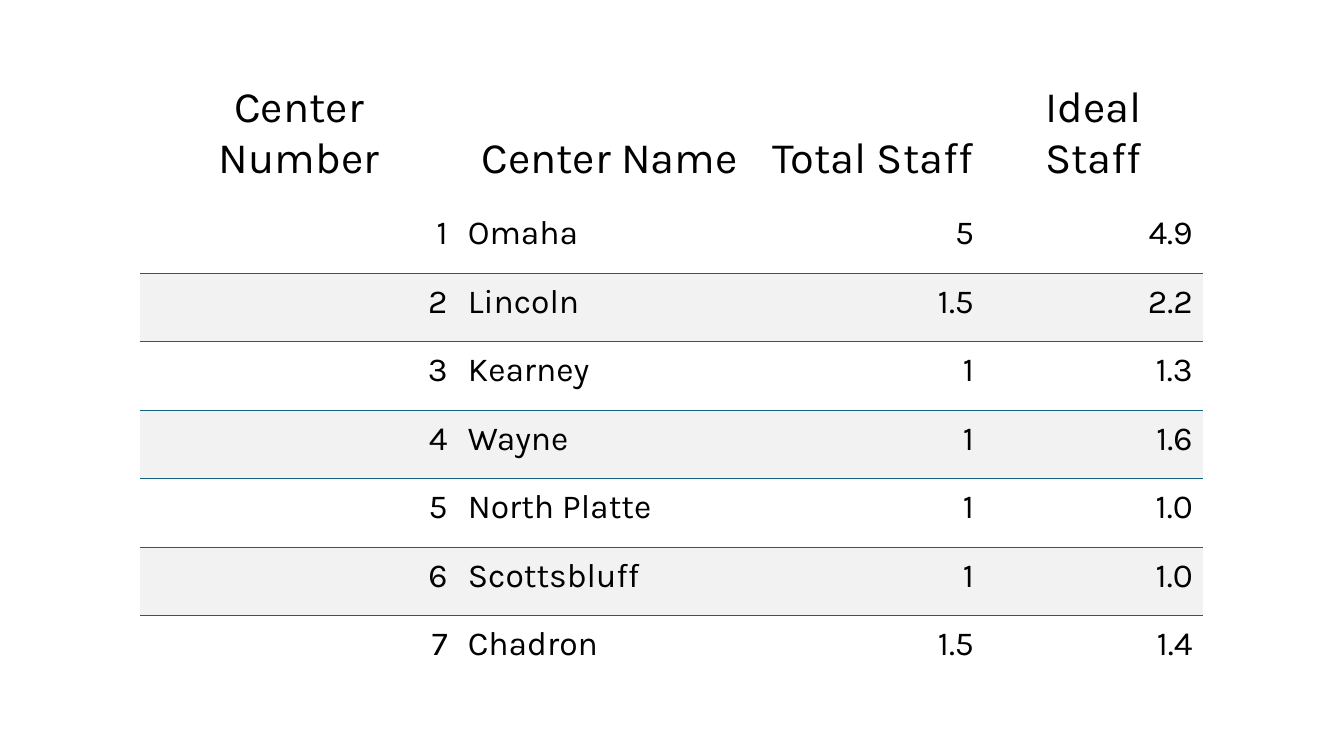
from dataclasses import dataclass

from lxml import etree
from pptx import Presentation
from pptx.dml.color import RGBColor
from pptx.enum.text import MSO_ANCHOR, PP_ALIGN
from pptx.oxml.ns import qn
from pptx.util import Inches, Pt

LEFT, CENTER, RIGHT = PP_ALIGN.LEFT, PP_ALIGN.CENTER, PP_ALIGN.RIGHT
BOTTOM = MSO_ANCHOR.BOTTOM
PLAIN_STYLE = "{2D5ABB26-0587-4C30-8999-92F81FD0307C}"


@dataclass(frozen=True)
class Theme:
    font: str = "Karla"
    text: str = "000000"
    band: str = "F2F2F2"
    rule: str = "156082"
    header_size: int = 31
    body_size: int = 24


THEME = Theme()

HEADERS = ["Center Number", "Center Name", "Total Staff", "Ideal Staff"]
CENTERS = [
    ["1", "Omaha", "5", "4.9"],
    ["2", "Lincoln", "1.5", "2.2"],
    ["3", "Kearney", "1", "1.3"],
    ["4", "Wayne", "1", "1.6"],
    ["5", "North Platte", "1", "1.0"],
    ["6", "Scottsbluff", "1", "1.0"],
    ["7", "Chadron", "1.5", "1.4"],
]
COL_WIDTHS = [3.15, 3.01, 2.21, 2.17]
BODY_ALIGN = [RIGHT, LEFT, RIGHT, RIGHT]
HEADER_HEIGHT, ROW_HEIGHT = 1.33, 0.68


def write_cell(cell, text, size, align):
    cell.margin_left = cell.margin_right = Inches(0.1)
    cell.margin_top, cell.margin_bottom = Inches(0.01), Inches(0.2)
    cell.vertical_anchor = BOTTOM
    p = cell.text_frame.paragraphs[0]
    p.alignment = align
    r = p.add_run()
    r.text = text
    r.font.name = THEME.font
    r.font.size = Pt(size)
    r.font.color.rgb = RGBColor.from_string(THEME.text)


def fill_cell(cell, banded):
    if banded:
        cell.fill.solid()
        cell.fill.fore_color.rgb = RGBColor.from_string(THEME.band)
    else:
        cell.fill.background()


def rule_cell(cell, side):
    """Draw a thin line on one side: lnT or lnB."""
    ln = etree.Element(qn(f"a:{side}"), w=str(Pt(1)))
    fill = etree.SubElement(ln, qn("a:solidFill"))
    etree.SubElement(fill, qn("a:srgbClr"), val=THEME.rule)
    # Borders come before the fill in the cell properties
    cell._tc.get_or_add_tcPr().insert(0, ln)


def add_staff_table(slide, left, top):
    rows = [HEADERS] + CENTERS
    height = HEADER_HEIGHT + ROW_HEIGHT * len(CENTERS)
    frame = slide.shapes.add_table(
        len(rows), len(HEADERS), Inches(left), Inches(top),
        Inches(sum(COL_WIDTHS)), Inches(height))
    table = frame.table
    table.first_row = table.horz_banding = False
    table._tbl.tblPr.find(qn("a:tableStyleId")).text = PLAIN_STYLE

    # Column widths and row heights
    for col, width in zip(table.columns, COL_WIDTHS):
        col.width = Inches(width)
    for i, row in enumerate(table.rows):
        row.height = Inches(ROW_HEIGHT if i else HEADER_HEIGHT)

    # Cells: even rows are banded, with a rule above each band
    for i, values in enumerate(rows):
        banded = i > 0 and i % 2 == 0
        for j, value in enumerate(values):
            cell = table.cell(i, j)
            if i == 0:
                write_cell(cell, value, THEME.header_size, CENTER)
            else:
                write_cell(cell, value, THEME.body_size, BODY_ALIGN[j])
            fill_cell(cell, banded)
            if banded:
                rule_cell(cell, "lnT")
                rule_cell(table.cell(i - 1, j), "lnB")


def main():
    prs = Presentation()
    prs.slide_width, prs.slide_height = Inches(13.33), Inches(7.5)
    slide = prs.slides.add_slide(prs.slide_layouts[6])
    add_staff_table(slide, 1.39, 0.7)
    prs.save("out.pptx")


if __name__ == "__main__":
    main()
